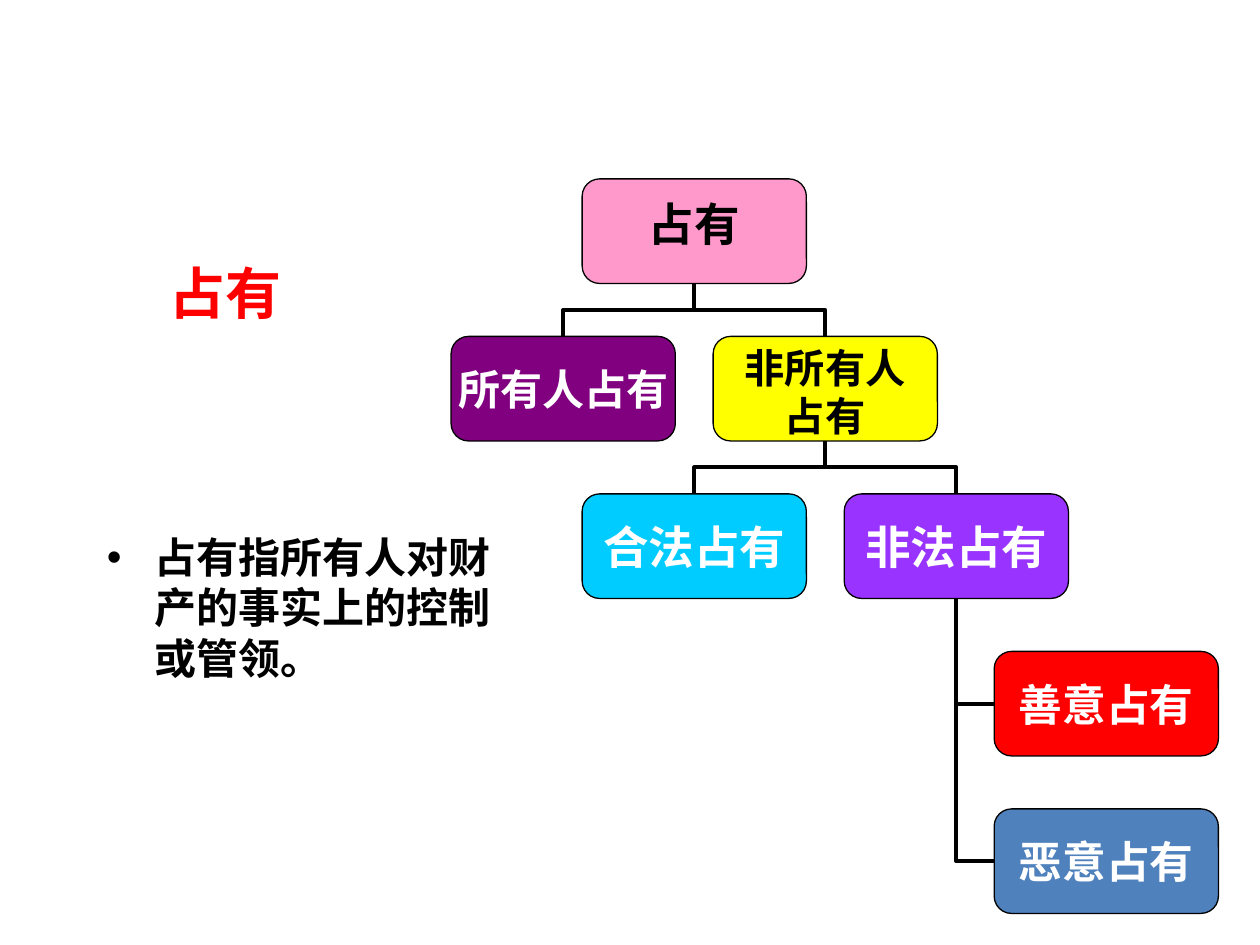
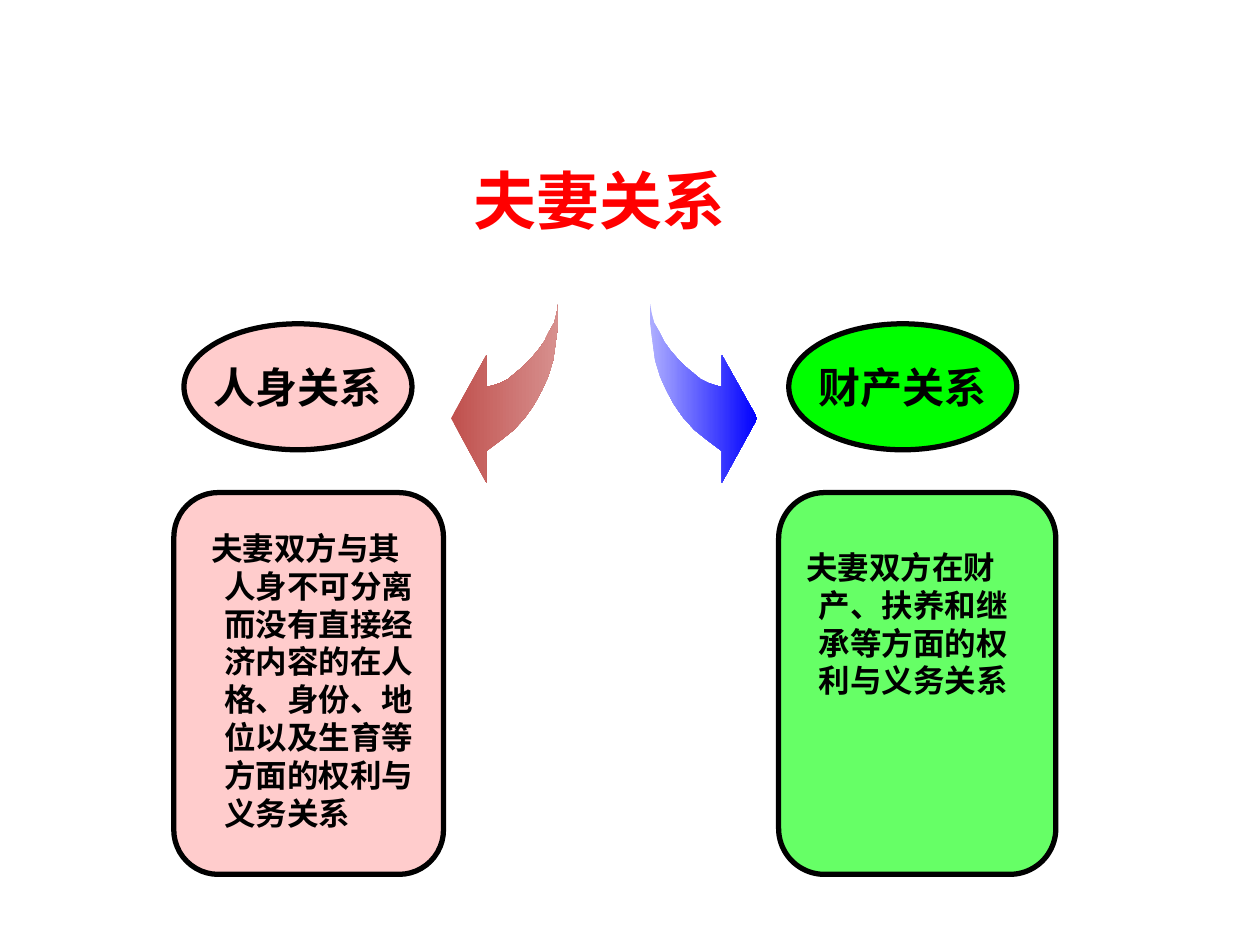
from lxml import etree
from pptx import Presentation
from pptx.dml.color import RGBColor as RGB
from pptx.enum.shapes import MSO_CONNECTOR as CONN, MSO_SHAPE as SHAPE
from pptx.enum.text import MSO_ANCHOR as ANCHOR, PP_ALIGN as ALIGN
from pptx.oxml.ns import qn
from pptx.util import Inches, Pt

BLACK = RGB(0, 0, 0)
WHITE = RGB(255, 255, 255)
RED = RGB(255, 0, 0)
PINK = RGB(0xFF, 0x99, 0xCC)
PURPLE = RGB(0x80, 0, 0x80)
YELLOW = RGB(255, 255, 0)
CYAN = RGB(0, 0xCC, 0xFF)
VIOLET = RGB(0x99, 0x33, 0xFF)
STEEL = RGB(0x4F, 0x81, 0xBD)
ROSE = RGB(0xFF, 0xCC, 0xCC)
GREEN = RGB(0, 255, 0)
LIME = RGB(0x66, 0xFF, 0x66)
BRICK = RGB(0xC0, 0x50, 0x4D)
BLUSH = RGB(0xD7, 0x90, 0x8E)
BLUE = RGB(0, 0, 255)
PALE = RGB(0xAE, 0xAE, 0xFF)

ASIAN = "Noto Sans CJK SC"
ARIAL, TIMES, CALIBRI = "Arial", "Times New Roman", "Calibri"
NODE_W, NODE_H = 1.78, 0.83
STEP = 1.25  # distance between the rows of the tree

# One curved arrow: distance from its tail, outwards and down
CURVE = [
    (0, 0), (0, 0.16), (0.02, 0.31), (0.04, 0.45), (0.08, 0.58),
    (0.13, 0.69), (0.19, 0.8), (0.26, 0.9), (0.35, 1), (0.45, 1.08),
    (0.57, 1.17), (0.57, 1.42), (0.85, 0.91), (0.57, 0.41), (0.57, 0.66),
    (0.52, 0.65), (0.46, 0.63), (0.4, 0.6), (0.34, 0.55), (0.28, 0.5),
    (0.22, 0.44), (0.16, 0.37), (0.11, 0.3), (0.07, 0.22), (0.03, 0.15),
    (0.01, 0.07),
]


def write(frame, lines, size, color, font, align=ALIGN.LEFT):
    """Fill a frame with bold lines and return its paragraphs."""
    for i, line in enumerate(lines):
        para = frame.add_paragraph() if i else frame.paragraphs[0]
        para.alignment = align
        para.line_spacing = Pt(size * 1.2)
        run = para.add_run()
        run.text = line
        run.font.size, run.font.bold, run.font.name = Pt(size), True, font
        run.font.color.rgb = color
        asian = etree.SubElement(run.font._element, qn("a:ea"))
        asian.set("typeface", ASIAN)
    return frame.paragraphs


def add_text(slide, box, text, size, color, font=ARIAL, wrap=True):
    area = slide.shapes.add_textbox(*map(Inches, box))
    area.text_frame.word_wrap = wrap
    return write(area.text_frame, [text], size, color, font)[0]


def indent(para, left, first):
    props = para._p.get_or_add_pPr()
    props.set("marL", str(Inches(left)))
    props.set("indent", str(Inches(first)))
    return props


def add_form(slide, kind, box, fill, width):
    """Add a filled preset shape with a black outline."""
    form = slide.shapes.add_shape(kind, *map(Inches, box))
    form.shadow.inherit = False
    form.fill.solid()
    form.fill.fore_color.rgb = fill
    form.line.color.rgb = BLACK
    form.line.width = Pt(width)
    return form


def label(form, lines, size, color, font, top=0, bottom=0):
    frame = form.text_frame
    frame.word_wrap = False
    frame.vertical_anchor = ANCHOR.MIDDLE
    frame.margin_left = frame.margin_right = 0
    frame.margin_top, frame.margin_bottom = Inches(top), Inches(bottom)
    write(frame, lines, size, color, font, ALIGN.CENTER)


# Tree of kinds of possession
def add_bend(slide, ends, turn, kind="bentConnector3"):
    link = slide.shapes.add_connector(CONN.ELBOW, *map(Inches, ends))
    link.line.color.rgb = BLACK
    link.line.width = Pt(2.25)
    props = link._element.spPr
    props.find(qn("a:xfrm")).set("rot", str(turn * 60000))
    props.find(qn("a:prstGeom")).set("prst", kind)
    etree.SubElement(props, qn("a:effectLst"))


def join_down(slide, child, parent):
    """Link the top of a child to the bottom of its parent."""
    x, y = child[0] + NODE_W / 2, child[1]
    px, py = parent[0] + NODE_W / 2, parent[1] + NODE_H
    mid_x, mid_y = (x + px) / 2, (y + py) / 2
    side = 1 if x < px else -1
    dx, dy = abs(px - x) / 2, side * (y - py) / 2
    ends = (mid_x + dy, mid_y + dx, mid_x - dy, mid_y - dx)
    add_bend(slide, ends, 90 if side > 0 else 270)


def join_side(slide, child, parent):
    """Link the left edge of a child to the bottom of its parent."""
    left, top = parent[0] + NODE_W / 2, parent[1] + NODE_H
    right, low = child[0], child[1] + NODE_H / 2
    add_bend(slide, (left, top, right, low), 180, "bentConnector2")


def add_tree(slide, x, y):
    half = 1.04
    root = (x + half, y)
    owner, other = (x, y + STEP), (x + 2 * half, y + STEP)
    legal, wrong = (x + half, y + 2 * STEP), (x + 3 * half, y + 2 * STEP)
    good, bad = [(x + 4.31, y + n * STEP) for n in (3, 4)]

    for child in (bad, good):
        join_side(slide, child, wrong)
    for child, parent in ((wrong, other), (legal, other),
                          (other, root), (owner, root)):
        join_down(slide, child, parent)

    nodes = [
        (root, ["占有"], 26, PINK, BLACK, 0, 0.13),
        (owner, ["所有人占有"], 24, PURPLE, WHITE, 0, 0),
        (other, ["非所有人", "占有"], 23, YELLOW, BLACK, 0.04, 0),
        (legal, ["合法占有"], 26, CYAN, WHITE, 0, 0),
        (wrong, ["非法占有"], 26, VIOLET, WHITE, 0, 0),
        (good, ["善意占有"], 25, RED, WHITE, 0, 0),
        (bad, ["恶意占有"], 25, STEEL, WHITE, 0, 0),
    ]
    for spot, lines, size, fill, color, top, bottom in nodes:
        form = add_form(slide, SHAPE.ROUNDED_RECTANGLE,
                        (*spot, NODE_W, NODE_H), fill, 0.75)
        label(form, lines, size, color, TIMES, top, bottom)


def build_tree(slide):
    para = add_text(slide, (0.75, 4.17, 3.5, 1.33),
                    "占有指所有人对财产的事实上的控制或管领。",
                    24, BLACK, CALIBRI)
    props = indent(para, 0.38, -0.38)
    etree.SubElement(props, qn("a:buFont")).set("typeface", ARIAL)
    etree.SubElement(props, qn("a:buChar")).set("char", "•")
    add_text(slide, (1.25, 2, 1.09, 0.64), "占有", 32, RED, wrap=False)
    add_tree(slide, 3.58, 1.42)


# Two sides of marriage
def add_arrow(slide, x, y, side, start, end):
    """Draw the curved arrow; side is -1 for left, 1 for right."""
    points = [(Inches(x + side * dx), Inches(y + dy)) for dx, dy in CURVE]
    pen = slide.shapes.build_freeform(*points[0], scale=1.0)
    pen.add_line_segments(points[1:], close=True)
    arrow = pen.convert_to_shape()
    arrow.shadow.inherit = False
    arrow.line.fill.background()
    arrow.fill.gradient()
    arrow.fill.gradient_angle = 0
    for stop, color, place in zip(arrow.fill.gradient_stops,
                                  (start, end), (0, 1)):
        stop.color.rgb = color
        stop.position = place


def add_side(slide, panel, oval, note, name, text, fills):
    form = add_form(slide, SHAPE.ROUNDED_RECTANGLE, panel, fills[0], 3)
    form.adjustments[0] = 0.165
    indent(add_text(slide, note, text, 18, BLACK), 0.38, -0.1)
    disc = add_form(slide, SHAPE.OVAL, (*oval, 1.81, 1), fills[1], 3)
    label(disc, [name], 24, BLACK, ARIAL)


def build_pair(slide):
    add_text(slide, (3.66, 1.23, 2.28, 0.86), "夫妻关系", 36, RED, ASIAN)
    add_side(slide, (1.38, 3.91, 2.14, 3.03), (1.46, 2.57),
             (1.3, 4.15, 2.21, 2.6), "人身关系",
             "夫妻双方与其人身不可分离而没有直接经济内容的在人格、"
             "身份、地位以及生育等方面的权利与义务关系", (ROSE, ROSE))
    add_side(slide, (6.18, 3.91, 2.2, 3.03), (6.26, 2.57),
             (6.02, 4.3, 2.2, 1.34), "财产关系",
             "夫妻双方在财产、扶养和继承等方面的权利与义务关系",
             (LIME, GREEN))
    add_arrow(slide, 4.43, 2.41, -1, BRICK, BLUSH)
    add_arrow(slide, 5.16, 2.41, 1, PALE, BLUE)


def main():
    deck = Presentation()
    deck.slide_width, deck.slide_height = Inches(10), Inches(7.5)
    for build in (build_tree, build_pair):
        build(deck.slides.add_slide(deck.slide_layouts[6]))
    deck.save("out.pptx")


if __name__ == "__main__":
    main()
